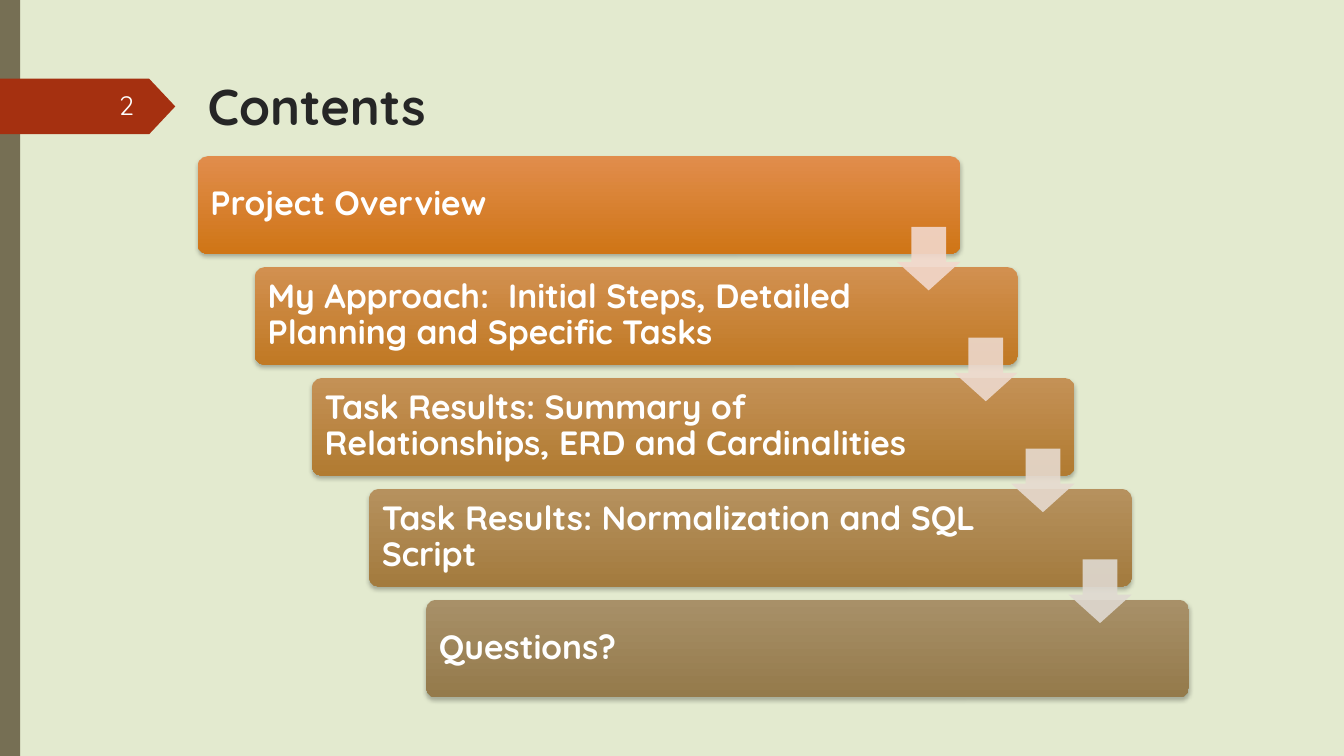
import dataclasses

import lxml.etree
import pptx
import pptx.dml.color
import pptx.enum.shapes
import pptx.enum.text
import pptx.oxml.ns
import pptx.util

SHAPES = pptx.enum.shapes.MSO_SHAPE
ALIGN = pptx.enum.text.PP_ALIGN
ANCHOR = pptx.enum.text.MSO_ANCHOR
WIDTH, HEIGHT = pptx.util.Inches(13.33), pptx.util.Inches(7.5)
COLUMNS, ROWS = 24, 12


@dataclasses.dataclass(frozen=True)
class Theme:
    """Colours, font and type sizes of the slide."""
    font: str = "Quicksand"
    panel: str = "E3EACF"
    rail: str = "766F54"
    banner: str = "A53010"
    title: str = "262626"
    number: str = "FEFFFF"
    step: str = "FFFFFF"
    shadow: str = "000000"
    title_size: int = 36
    step_size: int = 24
    number_size: int = 19


THEME = Theme()
STEPS = [
    ("Project Overview", "E18D4C", "CF7516", "F2D8CC"),
    ("My Approach:  Initial Steps, Detailed Planning and Specific Tasks", "D29050", "C07924", "EDD9CD"),
    ("Task Results: Summary of Relationships, ERD and Cardinalities", "C49156", "B17B31", "E6DACF"),
    ("Task Results: Normalization and SQL Script", "B6915E", "A37B3E", "DFD9D1"),
    ("Questions?", "A89068", "947A4B", None),
]
STEP_LEFT, STEP_TOP = 3.53, 2.48
STEP_RIGHTWARD, STEP_DOWNWARD = 1.02, 1.76


def rgb(colour):
    """Return a colour object for a hex string."""
    return pptx.dml.color.RGBColor.from_string(colour)


def across(columns):
    """Return a horizontal length in grid columns."""
    return round(WIDTH * columns / COLUMNS)


def down(rows):
    """Return a vertical length in grid rows."""
    return round(HEIGHT * rows / ROWS)


def place(left, top, width, height):
    """Return a grid box as slide lengths."""
    return across(left), down(top), across(width), down(height)


def add_block(slide, preset, box, colour=None):
    """Add a preset shape without line or shadow, filled if a colour is given."""
    block = slide.shapes.add_shape(preset, *place(*box))
    block.shadow.inherit = False
    block.line.fill.background()
    if colour:
        block.fill.solid()
        block.fill.fore_color.rgb = rgb(colour)
    return block


def write(holder, wording, size, colour, bold=False, align=ALIGN.LEFT, anchor=ANCHOR.MIDDLE, insets=(0.1, 0.1)):
    """Write one styled paragraph with left and right insets in inches."""
    frame = holder.text_frame
    frame.word_wrap = True
    frame.vertical_anchor = anchor
    frame.margin_left, frame.margin_right = map(pptx.util.Inches, insets)
    paragraph = frame.paragraphs[0]
    paragraph.text = wording
    paragraph.alignment = align
    paragraph.font.name = THEME.font
    paragraph.font.size = pptx.util.Pt(size)
    paragraph.font.bold = bold
    paragraph.font.color.rgb = rgb(colour)
    return paragraph


def drop_shadow(block):
    """Give a shape a soft shadow straight below it."""
    effects = block.element.spPr.find(pptx.oxml.ns.qn("a:effectLst"))
    shadow = lxml.etree.SubElement(
        effects, pptx.oxml.ns.qn("a:outerShdw"), blurRad=str(pptx.util.Pt(3)),
        dist=str(pptx.util.Pt(2)), dir="5400000", rotWithShape="0")
    tint = lxml.etree.SubElement(shadow, pptx.oxml.ns.qn("a:srgbClr"), val=THEME.shadow)
    lxml.etree.SubElement(tint, pptx.oxml.ns.qn("a:alpha"), val="25000")


def add_step(slide, index, wording, upper, lower):
    """Add one gradient card of the staircase."""
    box = (STEP_LEFT + index * STEP_RIGHTWARD, STEP_TOP + index * STEP_DOWNWARD, 13.62, 1.55)
    card = add_block(slide, SHAPES.ROUNDED_RECTANGLE, box)
    card.adjustments[0] = 0.1
    card.fill.gradient()
    card.fill.gradient_angle = 270
    for stop, colour in zip(card.fill.gradient_stops, (upper, lower)):
        stop.color.rgb = rgb(colour)
    drop_shadow(card)
    paragraph = write(card, wording, THEME.step_size, THEME.step, bold=True, insets=(0.1, 1.29))
    paragraph.line_spacing = 0.9


def add_step_arrow(slide, index, colour):
    """Add the translucent arrow leading to the next card."""
    box = (STEP_LEFT + 12.49 + index * STEP_RIGHTWARD, STEP_TOP + 1.12 + index * STEP_DOWNWARD, 1.13, 1.01)
    arrow = add_block(slide, SHAPES.DOWN_ARROW, box, colour)
    arrow.adjustments[0], arrow.adjustments[1] = 0.55, 0.45
    tint = arrow.element.spPr.find(".//" + pptx.oxml.ns.qn("a:srgbClr"))
    lxml.etree.SubElement(tint, pptx.oxml.ns.qn("a:alpha"), val="90000")


def add_heading(slide):
    """Add the title, the side rail and the page number banner."""
    title = slide.shapes.add_textbox(*place(STEP_LEFT, 1.11, 19.12, 2.24))
    write(title, "Contents", THEME.title_size, THEME.title, bold=True, anchor=ANCHOR.TOP)
    add_block(slide, SHAPES.RECTANGLE, (0, 0, 0.36, ROWS), THEME.rail)
    banner = add_block(slide, SHAPES.PENTAGON, (0, 1.25, 3.13, 0.88), THEME.banner)
    banner.adjustments[0] = 0.47
    number = write(banner, "2", THEME.number_size, THEME.number, align=ALIGN.RIGHT, insets=(0.1, 0.28))
    number.line_spacing = 0.9


def main():
    """Build the contents slide and save it."""
    deck = pptx.Presentation()
    deck.slide_width, deck.slide_height = WIDTH, HEIGHT
    slide = deck.slides.add_slide(deck.slide_layouts[6])
    add_block(slide, SHAPES.RECTANGLE, (0, 0, COLUMNS, ROWS), THEME.panel)
    add_heading(slide)
    for index, (wording, upper, lower, _) in enumerate(STEPS):
        add_step(slide, index, wording, upper, lower)
    for index, (_, _, _, arrow_colour) in enumerate(STEPS[:-1]):
        add_step_arrow(slide, index, arrow_colour)
    deck.save("out.pptx")


if __name__ == "__main__":
    main()
